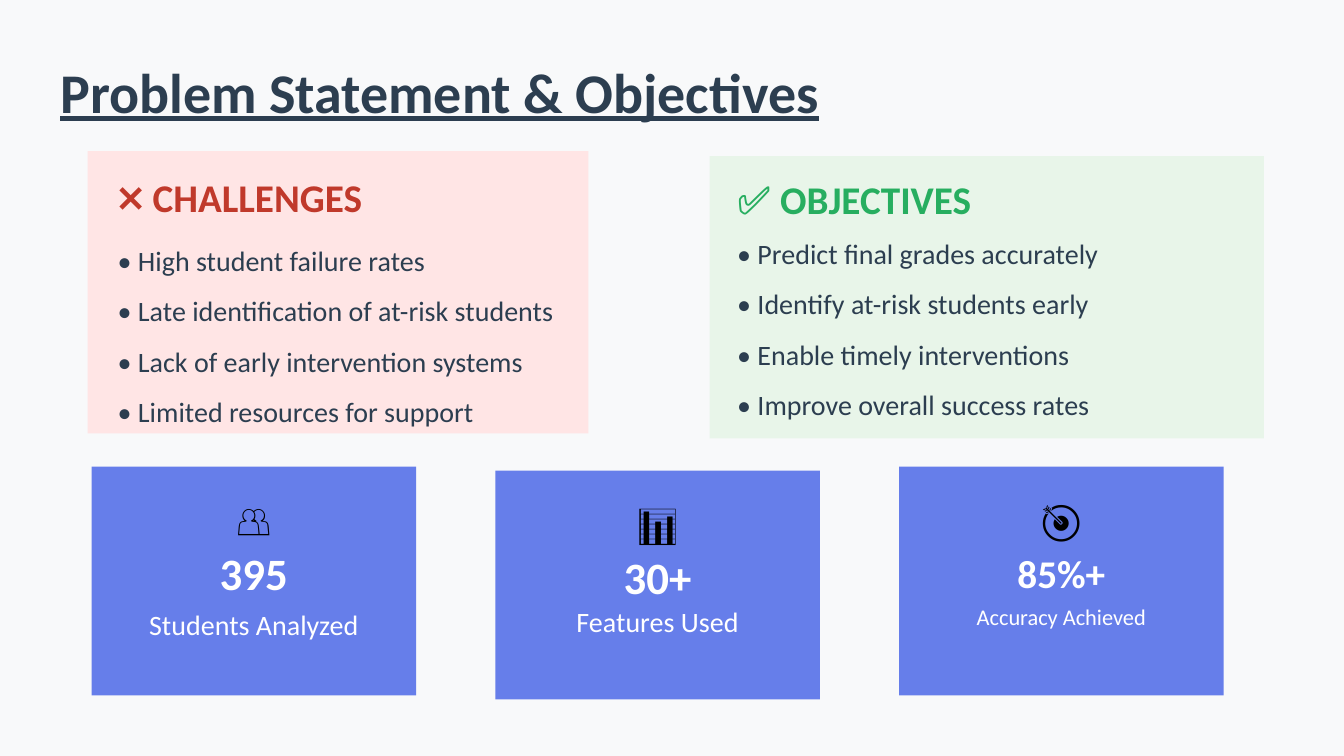
import pptx
import pptx.util
import pptx.dml.color
import pptx.enum.shapes
import pptx.enum.text
from dataclasses import dataclass

Pt = pptx.util.Pt
Align = pptx.enum.text.PP_ALIGN


@dataclass(frozen=True)
class Theme:
    font: str = "Calibri"
    back: str = "F8F9FA"
    ink: str = "2C3E50"
    red: str = "C0392B"
    pink: str = "FFE5E5"
    green: str = "27AE60"
    mint: str = "E8F5E9"
    blue: str = "667EEA"
    white: str = "FFFFFF"
    black: str = "000000"
    title: int = 40
    value: int = 32
    head: int = 28
    body: int = 20
    small: int = 16


theme = Theme()


def color(code):
    return pptx.dml.color.RGBColor.from_string(code)


def add_text(slide, box, *lines, size=theme.body, ink=theme.ink, bold=False,
             under=False, align=Align.LEFT, space=None):
    frame = slide.shapes.add_textbox(*map(Pt, box)).text_frame
    frame.word_wrap = True
    frame.vertical_anchor = pptx.enum.text.MSO_ANCHOR.MIDDLE
    for i, line in enumerate(lines):
        para = frame.add_paragraph() if i else frame.paragraphs[0]
        para.alignment = align
        para.line_spacing = space
        run = para.add_run()
        run.text = line
        font = run.font
        font.name, font.size = theme.font, Pt(size)
        font.bold, font.underline = bold, under
        font.color.rgb = color(ink)


def add_rect(slide, box, fill):
    kind = pptx.enum.shapes.MSO_SHAPE.RECTANGLE
    rect = slide.shapes.add_shape(kind, *map(Pt, box))
    rect.shadow.inherit = False
    rect.fill.solid()
    rect.fill.fore_color.rgb = color(fill)
    rect.line.fill.background()


def add_panel(slide, box, head, items, fill, ink, pad, top, tall):
    """Tinted box with a heading and a list; top and tall place the list."""
    x, y, w, h = box
    add_rect(slide, box, fill)
    add_text(slide, (x + pad, y + pad, 288, 36), head,
             size=theme.head, ink=ink, bold=True)
    add_text(slide, (x + pad, y + top, w - pad, tall),
             *(f"• {item}" for item in items), space=1.5)


def add_card(slide, box, icon, value, label, big, small, drop):
    """Figure card; drop is the distance from its top to the label."""
    x, y, w, h = box
    add_rect(slide, box, theme.blue)
    add_text(slide, (x, y + 14.4, w, 45.4), icon,
             size=theme.head, ink=theme.black, align=Align.CENTER)
    add_text(slide, (x, y + 57.6, w, 36), value,
             size=big, ink=theme.white, bold=True, align=Align.CENTER)
    add_text(slide, (x, y + drop, w, 27.4), label,
             size=small, ink=theme.white, align=Align.CENTER)


def main():
    deck = pptx.Presentation()
    deck.slide_width, deck.slide_height = Pt(960), Pt(540)
    slide = deck.slides.add_slide(deck.slide_layouts[6])
    slide.background.fill.solid()
    slide.background.fill.fore_color.rgb = color(theme.back)

    # Title
    add_text(slide, (36, 36, 648, 57.6), "Problem Statement & Objectives",
             size=theme.title, bold=True, under=True)

    # Challenges and objectives
    add_panel(slide, (62.6, 108, 357.8, 201.6), "❌ CHALLENGES",
              ["High student failure rates",
               "Late identification of at-risk students",
               "Lack of early intervention systems",
               "Limited resources for support"],
              theme.pink, theme.red, pad=14.4, top=57.6, tall=136.8)
    add_panel(slide, (506.9, 111.6, 396, 201.6), "✅ OBJECTIVES",
              ["Predict final grades accurately",
               "Identify at-risk students early",
               "Enable timely interventions",
               "Improve overall success rates"],
              theme.mint, theme.green, pad=12.6, top=63.4, tall=108)

    # Key figures
    cards = [
        (333.4, "👥", "395", "Students Analyzed", theme.value, theme.body, 98.6),
        (336.2, "📊", "30+", "Features Used", theme.value, theme.body, 93.6),
        (333.4, "🎯", "85%+", "Accuracy Achieved", theme.head, theme.small, 93.6),
    ]
    for i, (top, *parts) in enumerate(cards):
        add_card(slide, (65.4 + i * 288.4, top, 231.8, 163.4), *parts)

    deck.save("out.pptx")


if __name__ == "__main__":
    main()
